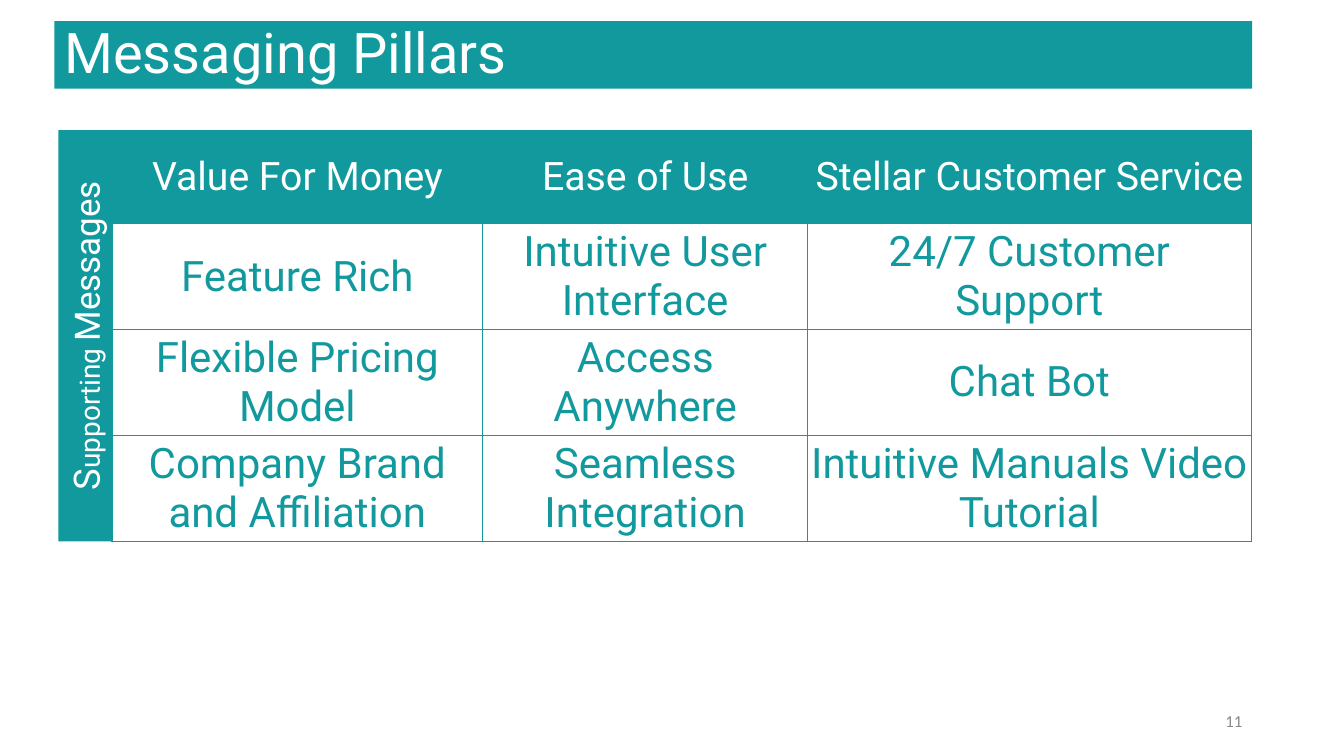
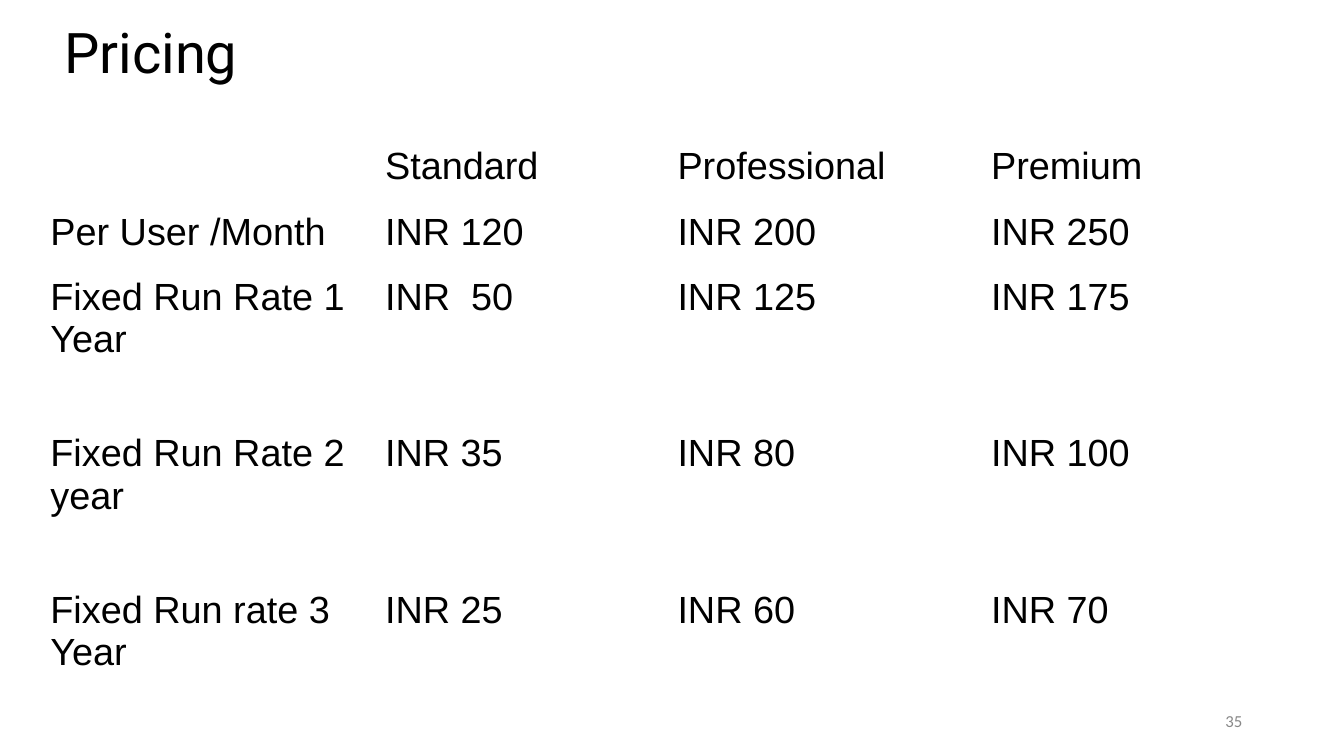
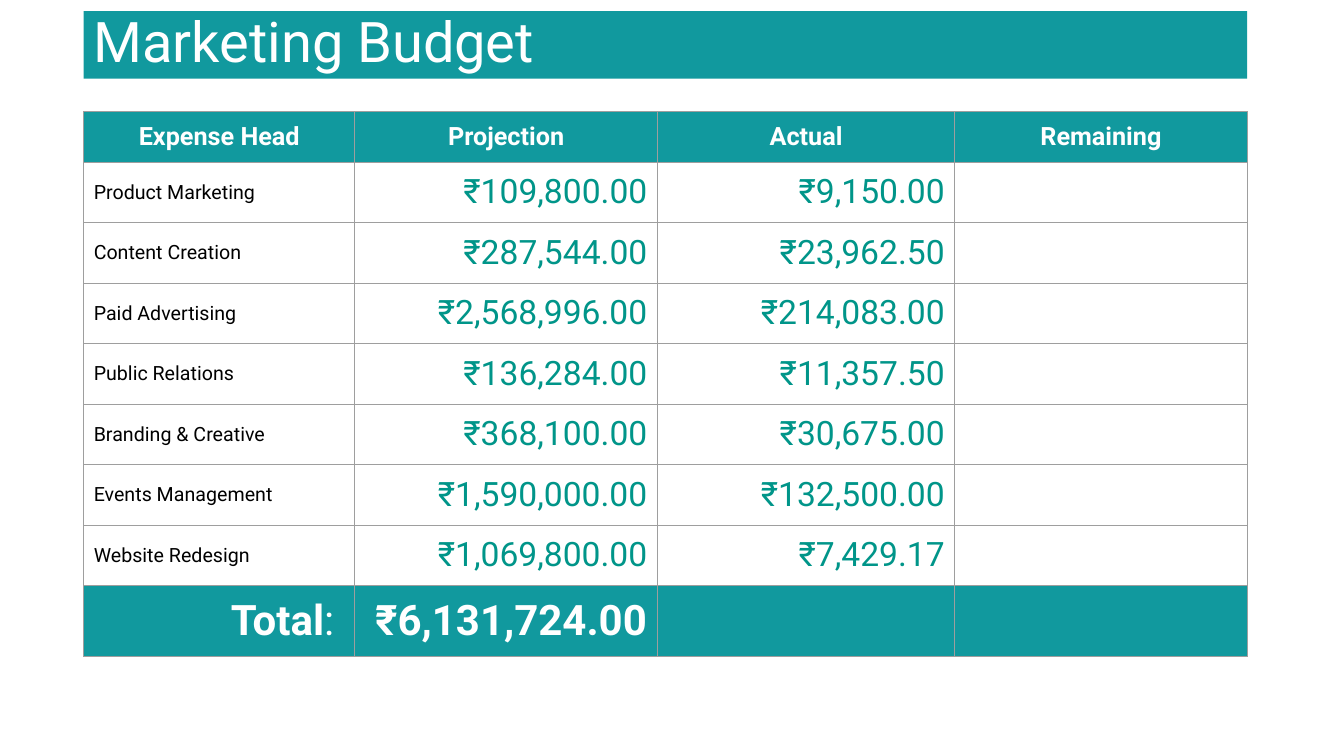
"""Builds three marketing plan slides: messaging pillars, pricing and budget."""
from dataclasses import dataclass, replace
from typing import Optional

from lxml import etree
from pptx import Presentation
from pptx.dml.color import RGBColor
from pptx.enum.shapes import MSO_SHAPE
from pptx.enum.text import MSO_ANCHOR, PP_ALIGN
from pptx.oxml.ns import qn
from pptx.util import Inches, Pt

RECTANGLE = MSO_SHAPE.RECTANGLE
TOP, MIDDLE = MSO_ANCHOR.TOP, MSO_ANCHOR.MIDDLE
LEFT, CENTER, RIGHT = PP_ALIGN.LEFT, PP_ALIGN.CENTER, PP_ALIGN.RIGHT

TEAL = RGBColor(0x11, 0x99, 0x9E)
AMOUNT_GREEN = RGBColor(0x00, 0x95, 0x89)
GRID_GRAY = RGBColor(0x9E, 0x9E, 0x9E)
NUMBER_GRAY = RGBColor(0x88, 0x88, 0x88)
WHITE = RGBColor(0xFF, 0xFF, 0xFF)
BLACK = RGBColor(0x00, 0x00, 0x00)

NO_TABLE_STYLE = "{2D5ABB26-0587-4C30-8999-92F81FD0307C}"
BORDER_SIDES = ("a:lnL", "a:lnR", "a:lnT", "a:lnB")


@dataclass(frozen=True)
class Style:
    size: float
    color: RGBColor = BLACK
    font: str = "Roboto"
    bold: bool = False
    align: PP_ALIGN = LEFT
    anchor: MSO_ANCHOR = MIDDLE
    fill: Optional[RGBColor] = None
    spacing: Optional[float] = None


BAND_TITLE = Style(40, WHITE, fill=TEAL, spacing=0.9)
PLAIN_TITLE = Style(40, spacing=0.9)
PAGE_NUMBER = Style(12, NUMBER_GRAY, "Calibri", align=RIGHT)
SIDE_LABEL = Style(25, WHITE, align=CENTER, anchor=TOP, fill=TEAL)
PILLAR = Style(28, WHITE, align=CENTER, fill=TEAL)
MESSAGE = Style(30, TEAL, align=CENTER)
PRICE = Style(27, font="Arial", anchor=TOP)
BUDGET_HEAD = Style(18, WHITE, bold=True, align=CENTER, fill=TEAL)
EXPENSE = Style(14)
AMOUNT = Style(24, AMOUNT_GREEN, align=RIGHT, anchor=TOP)
TOTAL = Style(30, WHITE, bold=True, align=RIGHT, anchor=TOP, fill=TEAL)


class Deck:
    """Holds the shared look and the slide being filled."""

    def __init__(self):
        self.prs = Presentation()
        self.prs.slide_width, self.prs.slide_height = Inches(13.33), Inches(7.5)
        self.slide = None

    def new_slide(self, title, left, top, width, style=BAND_TITLE, number=None):
        self.slide = self.prs.slides.add_slide(self.prs.slide_layouts[6])
        self.box(title, left, top, width, 0.67, style)
        if number:
            self.box(number, 9.42, 6.95, 3, 0.4, PAGE_NUMBER)

    def set_text(self, frame, content, style):
        """Sets a string, or a list of (text, style) runs."""
        paragraph = frame.paragraphs[0]
        parts = [(content, style)] if isinstance(content, str) else content
        paragraph.alignment = style.align
        if style.spacing:
            paragraph.line_spacing = style.spacing
        for text, part in parts:
            if not text:
                continue
            run = paragraph.add_run()
            run.text = text
            run.font.name, run.font.size = part.font, Pt(part.size)
            run.font.bold = part.bold
            run.font.color.rgb = part.color

    def paint(self, target, color):
        if color is None:
            target.fill.background()
        else:
            target.fill.solid()
            target.fill.fore_color.rgb = color

    def box(self, content, left, top, width, height, style, rotation=0):
        place = [Inches(v) for v in (left, top, width, height)]
        shapes = self.slide.shapes
        if style.fill is None:
            shape = shapes.add_textbox(*place)
        else:
            shape = shapes.add_shape(RECTANGLE, *place)
            shape.shadow.inherit = False
            shape.line.fill.background()
            self.paint(shape, style.fill)
        shape.rotation = rotation
        frame = shape.text_frame
        frame.word_wrap = True
        frame.vertical_anchor = style.anchor
        self.set_text(frame, content, style)

    def border(self, cell, color):
        properties = cell._tc.get_or_add_tcPr()
        for side in BORDER_SIDES:
            line = etree.SubElement(properties, qn(side), w=str(Pt(0.75)))
            solid = etree.SubElement(line, qn("a:solidFill"))
            etree.SubElement(solid, qn("a:srgbClr"), val=str(color))

    def table(self, left, top, widths, heights, rows, style_at, inset, grid=None):
        """Adds a table; style_at(row, column) styles a cell."""
        table = self.slide.shapes.add_table(
            len(heights), len(widths), Inches(left), Inches(top),
            Inches(sum(widths)), Inches(sum(heights))).table
        table.first_row = table.horz_banding = False
        table._tbl.tblPr.find(qn("a:tableStyleId")).text = NO_TABLE_STYLE
        for column, width in zip(table.columns, widths):
            column.width = Inches(width)
        for row, height in zip(table.rows, heights):
            row.height = Inches(height)
        for r, row in enumerate(rows):
            for c, content in enumerate(row):
                cell, style = table.cell(r, c), style_at(r, c)
                cell.margin_left = cell.margin_right = Inches(inset[0])
                cell.margin_top = cell.margin_bottom = Inches(inset[1])
                cell.vertical_anchor = style.anchor
                if grid is not None:
                    self.border(cell, grid)
                self.paint(cell, style.fill)
                self.set_text(cell.text_frame, content, style)


def messaging_pillars(deck):
    deck.new_slide("Messaging Pillars", 0.54, 0.21, 11.88, number="11")
    rows = [
        ("Value For Money", "Ease of Use", "Stellar Customer Service"),
        ("Feature Rich", "Intuitive User Interface", "24/7 Customer Support"),
        ("Flexible Pricing Model", "Access Anywhere", "Chat Bot"),
        ("Company Brand and Affiliation", "Seamless Integration",
         "Intuitive Manuals Video Tutorial"),
    ]
    deck.table(1.11, 1.29, [3.68, 3.22, 4.4], [0.93] + [1.05] * 3, rows,
               lambda r, c: PILLAR if r == 0 else MESSAGE, (0.02, 0), TEAL)
    label = [("S", replace(SIDE_LABEL, size=26)),
             ("upporting ", replace(SIDE_LABEL, size=20)),
             ("Messages", SIDE_LABEL)]
    deck.box(label, -1.19, 3.06, 4.08, 0.54, SIDE_LABEL, rotation=270)


def pricing(deck):
    deck.new_slide("Pricing", 0.54, 0.21, 11.01, PLAIN_TITLE, "35")
    rows = [
        ("", "Standard", "Professional", "Premium"),
        ("Per User /Month", "INR 120", "INR 200", "INR 250"),
        ("Fixed Run Rate 1 Year", "INR  50", "INR 125", "INR 175"),
        ("Fixed Run Rate 2 year", "INR 35", "INR 80", "INR 100"),
        ("Fixed Run rate 3 Year", "INR 25", "INR 60", "INR 70"),
    ]
    deck.table(0.4, 1.34, [3.32, 2.9, 3.11, 3.11], [0.65] * 2 + [1.55] * 3,
               rows, lambda r, c: PRICE, (0.1, 0.1))


def marketing_budget(deck):
    deck.new_slide("Marketing Budget", 0.83, 0.11, 11.54)
    expenses = [
        ("Product Marketing", "₹109,800.00", "₹9,150.00", ""),
        ("Content Creation", "₹287,544.00", "₹23,962.50", ""),
        ("Paid Advertising", "₹2,568,996.00", "₹214,083.00", ""),
        ("Public Relations", "₹136,284.00", "₹11,357.50", ""),
        ("Branding & Creative", "₹368,100.00", "₹30,675.00", ""),
        ("Events Management", "₹1,590,000.00", "₹132,500.00", ""),
        ("Website Redesign", "₹1,069,800.00", "₹7,429.17", ""),
    ]
    head = ("Expense Head", "Projection", "Actual", "Remaining")
    total_label = [("Total", TOTAL), (": ", replace(TOTAL, bold=False))]
    total = (total_label, "₹6,131,724.00", "", "")
    rows = [head, *expenses, total]

    def style_at(r, c):
        if r == 0:
            return BUDGET_HEAD
        if r == len(rows) - 1:
            return TOTAL
        return EXPENSE if c == 0 else AMOUNT

    heights = [0.49] + [0.59] * len(expenses) + [0.69]
    deck.table(0.83, 1.11, [2.69, 3, 2.95, 2.9], heights, rows, style_at,
               (0.1, 0.1), GRID_GRAY)


def main():
    deck = Deck()
    messaging_pillars(deck)
    pricing(deck)
    marketing_budget(deck)
    deck.prs.save("out.pptx")


if __name__ == "__main__":
    main()
